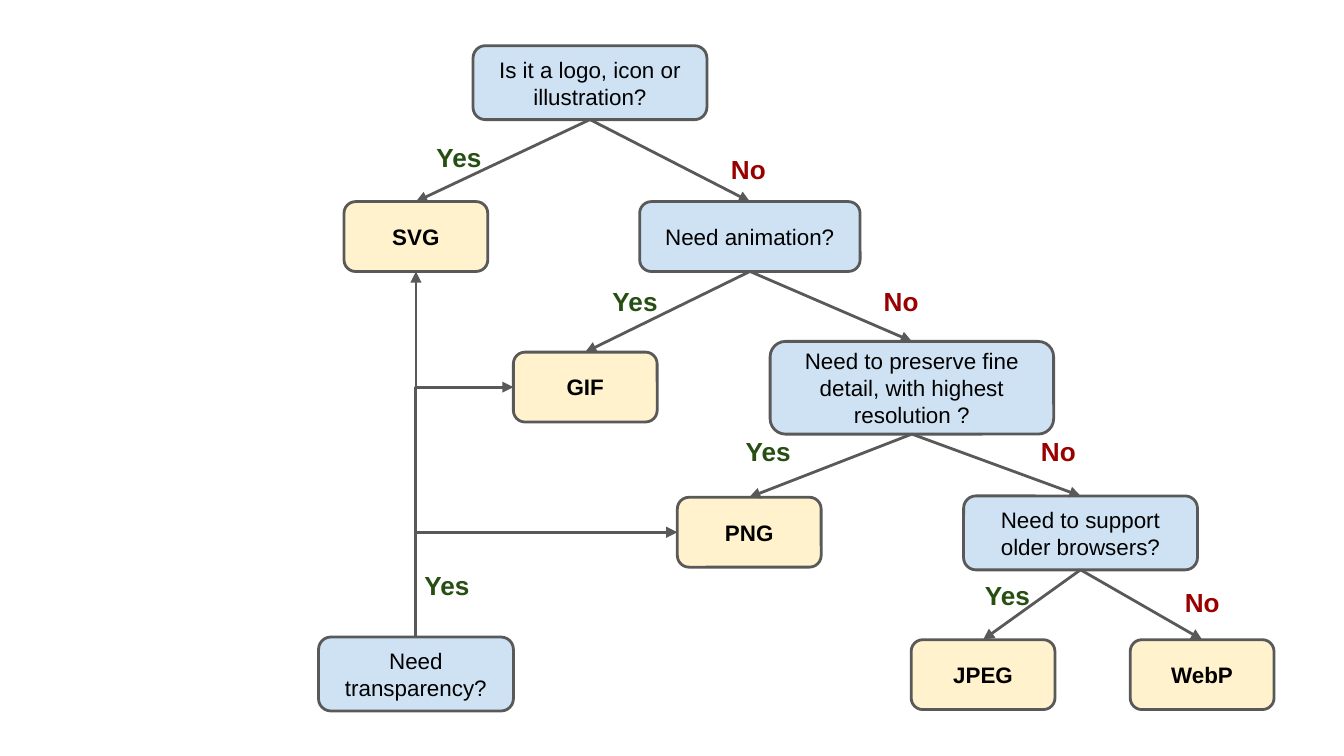
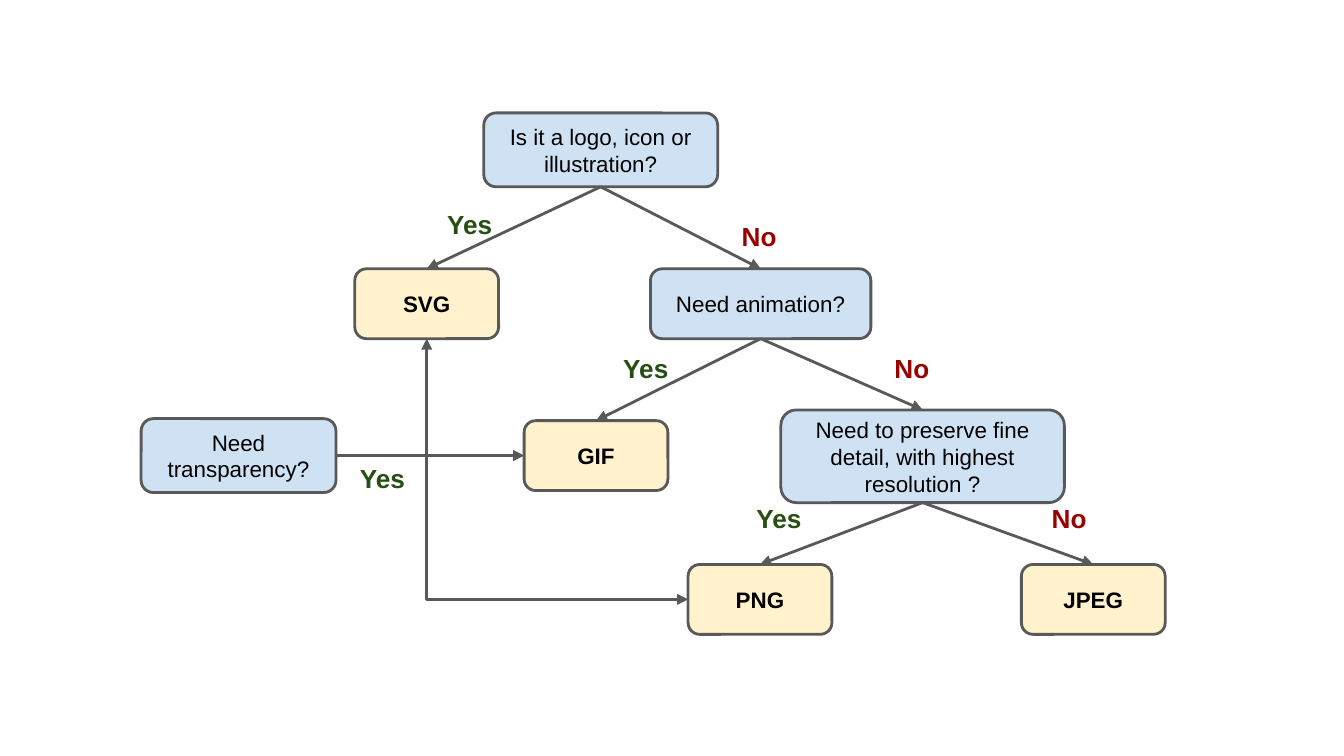
import pptx
import pptx.dml.color
import pptx.enum.shapes
import pptx.enum.text
import pptx.oxml
import pptx.oxml.ns
import pptx.util
from pptx.util import Inches

COLORS = {
    "question": "CFE2F3",
    "answer": "FFF2CC",
    "line": "595959",
    "text": "000000",
    "Yes": "274E13",
    "No": "990000",
}
FONT = "Arial"
LINE_WIDTH = pptx.util.Pt(1.5)
ANSWER_SIZE = (1.07, 0.52)
SMALL_QUESTION_SIZE = (1.74, 0.55)
TRANSPARENCY_SIZE = (1.45, 0.55)

# Connection sites of a rounded rectangle
TOP, LEFT, BOTTOM, RIGHT = range(4)

ALIGN = pptx.enum.text.PP_ALIGN
ANCHOR = pptx.enum.text.MSO_ANCHOR
CONNECTOR = pptx.enum.shapes.MSO_CONNECTOR


def rgb(name):
    return pptx.dml.color.RGBColor.from_string(COLORS[name])


def set_text(shape, text, size, color, bold, anchor, align=ALIGN.CENTER):
    text_frame = shape.text_frame
    text_frame.text = text
    text_frame.word_wrap = True
    text_frame.vertical_anchor = anchor
    text_frame.margin_left = text_frame.margin_right = Inches(0.1)
    text_frame.margin_top = text_frame.margin_bottom = Inches(0.1)
    paragraph = text_frame.paragraphs[0]
    paragraph.alignment = align
    font = paragraph.runs[0].font
    font.name = FONT
    font.size = pptx.util.Pt(size)
    font.bold = bold
    font.color.rgb = rgb(color)


# Boxes and labels
def add_box(slide, text, left, top, size, kind):
    shape = slide.shapes.add_shape(
        pptx.enum.shapes.MSO_SHAPE.ROUNDED_RECTANGLE,
        Inches(left), Inches(top), Inches(size[0]), Inches(size[1]))
    shape.shadow.inherit = False
    shape.fill.solid()
    shape.fill.fore_color.rgb = rgb(kind)
    shape.line.color.rgb = rgb("line")
    shape.line.width = LINE_WIDTH
    set_text(shape, text, 12, "text", kind == "answer", ANCHOR.MIDDLE)
    return shape


def add_question(slide, text, left, top, size):
    return add_box(slide, text, left, top, size, "question")


def add_answer(slide, text, left, top):
    return add_box(slide, text, left, top, ANSWER_SIZE, "answer")


def add_label(slide, text, left, top, anchor=ANCHOR.TOP, width=0.65,
              align=ALIGN.CENTER):
    shape = slide.shapes.add_textbox(
        Inches(left), Inches(top), Inches(width), Inches(0.34))
    set_text(shape, text, 14, text, True, anchor, align)


# Arrows
def site_point(shape, site):
    center = shape.left + shape.width // 2
    middle = shape.top + shape.height // 2
    return {
        TOP: (center, shape.top),
        LEFT: (shape.left, middle),
        BOTTOM: (center, shape.top + shape.height),
        RIGHT: (shape.left + shape.width, middle),
    }[site]


def style_arrow(connector):
    connector.line.color.rgb = rgb("line")
    connector.line.width = LINE_WIDTH
    line = connector.line._get_or_add_ln()
    tail = pptx.oxml.parse_xml(
        "<a:tailEnd %s type='triangle'/>" % pptx.oxml.ns.nsdecls("a"))
    line.append(tail)
    effects = pptx.oxml.parse_xml(
        "<a:effectLst %s/>" % pptx.oxml.ns.nsdecls("a"))
    connector._element.spPr.append(effects)


def add_arrow(slide, source, target, source_site=BOTTOM, target_site=TOP):
    connector = slide.shapes.add_connector(CONNECTOR.STRAIGHT, 0, 0, 0, 0)
    connector.begin_connect(source, source_site)
    connector.end_connect(target, target_site)
    style_arrow(connector)


def add_elbow(slide, start, end):
    connector = slide.shapes.add_connector(CONNECTOR.ELBOW, *start, *end)
    style_arrow(connector)
    return connector


def set_one_bend(connector):
    geometry = connector._element.spPr.find(pptx.oxml.ns.qn("a:prstGeom"))
    geometry.set("prst", "bentConnector2")


def add_across_then_up(slide, start, end):
    set_one_bend(add_elbow(slide, start, end))


def add_up_then_across(slide, start, end):
    across, rise = end[0] - start[0], start[1] - end[1]
    connector = add_elbow(slide, start, end)
    set_one_bend(connector)
    # A quarter turn swaps width and height around the same center
    connector.left = (start[0] + end[0] - rise) // 2
    connector.top = (start[1] + end[1] - across) // 2
    connector.width, connector.height = rise, across
    transform = connector._element.spPr.find(pptx.oxml.ns.qn("a:xfrm"))
    transform.attrib.pop("flipV", None)
    transform.set("rot", str(270 * 60000))


def add_across_via(slide, start, end, bend_x):
    connector = add_elbow(slide, start, end)
    ratio = round(100000 * (bend_x - start[0]) / (end[0] - start[0]))
    geometry = connector._element.spPr.find(pptx.oxml.ns.qn("a:prstGeom"))
    guides = geometry.get_or_add_avLst()
    guides.append(pptx.oxml.parse_xml(
        "<a:gd %s name='adj1' fmla='val %d'/>"
        % (pptx.oxml.ns.nsdecls("a"), ratio)))


# The part of the decision tree on both slides
def add_tree(slide, x=0, y=0, middle_y=0):
    logo = add_question(slide, "Is it a logo, icon or illustration?",
                        3.52 + x, 0.34 + y, SMALL_QUESTION_SIZE)
    animation = add_question(slide, "Need animation?",
                             4.76 + x, 1.5 + y, (1.64, 0.52))
    detail = add_question(
        slide, "Need to preserve fine detail, with highest resolution ?",
        5.73 + x, 2.54 + middle_y, (2.11, 0.69))
    svg = add_answer(slide, "SVG", 2.56 + x, 1.5 + y)
    gif = add_answer(slide, "GIF", 3.82 + x, 2.62 + middle_y)
    png = add_answer(slide, "PNG", 5.04 + x, 3.7 + y)

    for source, yes, no in ((logo, svg, animation), (animation, gif, detail)):
        add_arrow(slide, source, yes)
        add_arrow(slide, source, no)
    add_arrow(slide, detail, png)

    add_label(slide, "Yes", 3.09 + x, 1 + y, ANCHOR.MIDDLE)
    add_label(slide, "No", 5.34 + x, 1.04 + y, align=ALIGN.LEFT)
    for text, left, top in (("Yes", 4.4, 2.02), ("No", 6.38, 2.02),
                            ("Yes", 5.39, 3.14), ("No", 7.55, 3.14)):
        add_label(slide, text, left + x, top + y)
    return detail, svg, gif, png


def add_transparency(slide, left, top, label_left, label_top):
    add_label(slide, "Yes", label_left, label_top, ANCHOR.MIDDLE, 0.61)
    return add_question(slide, "Need transparency?", left, top,
                        TRANSPARENCY_SIZE)


def build_full_tree(slide):
    detail, svg, gif, png = add_tree(slide)

    # Older browsers
    browsers = add_question(slide, "Need to support older browsers?",
                            7.17, 3.69, SMALL_QUESTION_SIZE)
    add_arrow(slide, detail, browsers)
    for text, left in (("JPEG", 6.78), ("WebP", 8.41)):
        add_arrow(slide, browsers, add_answer(slide, text, left, 4.76))
    add_label(slide, "Yes", 7.17, 4.26, ANCHOR.MIDDLE)
    add_label(slide, "No", 8.62, 4.26)

    # Transparency, from below
    transparency = add_transparency(slide, 2.37, 4.74, 3.02, 4.18)
    add_arrow(slide, transparency, svg, TOP, BOTTOM)
    start = site_point(transparency, TOP)
    for target in (gif, png):
        add_up_then_across(slide, start, site_point(target, LEFT))


def build_short_tree(slide):
    detail, svg, gif, png = add_tree(slide, 0.08, 0.5, 0.51)
    add_arrow(slide, detail, add_answer(slide, "JPEG", 7.6, 4.2))

    # Transparency, from the left, level with GIF
    transparency = add_transparency(slide, 1.05, 3.12, 2.54, 3.39)
    transparency.top = gif.top + (gif.height - transparency.height) // 2
    start = site_point(transparency, RIGHT)
    svg_bottom = site_point(svg, BOTTOM)
    add_across_then_up(slide, start, svg_bottom)
    add_arrow(slide, transparency, gif, RIGHT, LEFT)
    add_across_via(slide, start, site_point(png, LEFT), svg_bottom[0])


def main():
    presentation = pptx.Presentation()
    # Widescreen, 16 to 9
    presentation.slide_width = Inches(10)
    presentation.slide_height = Inches(10) * 9 // 16
    blank_layout = presentation.slide_layouts[6]
    for build in (build_full_tree, build_short_tree):
        build(presentation.slides.add_slide(blank_layout))
    presentation.save("out.pptx")


main()
